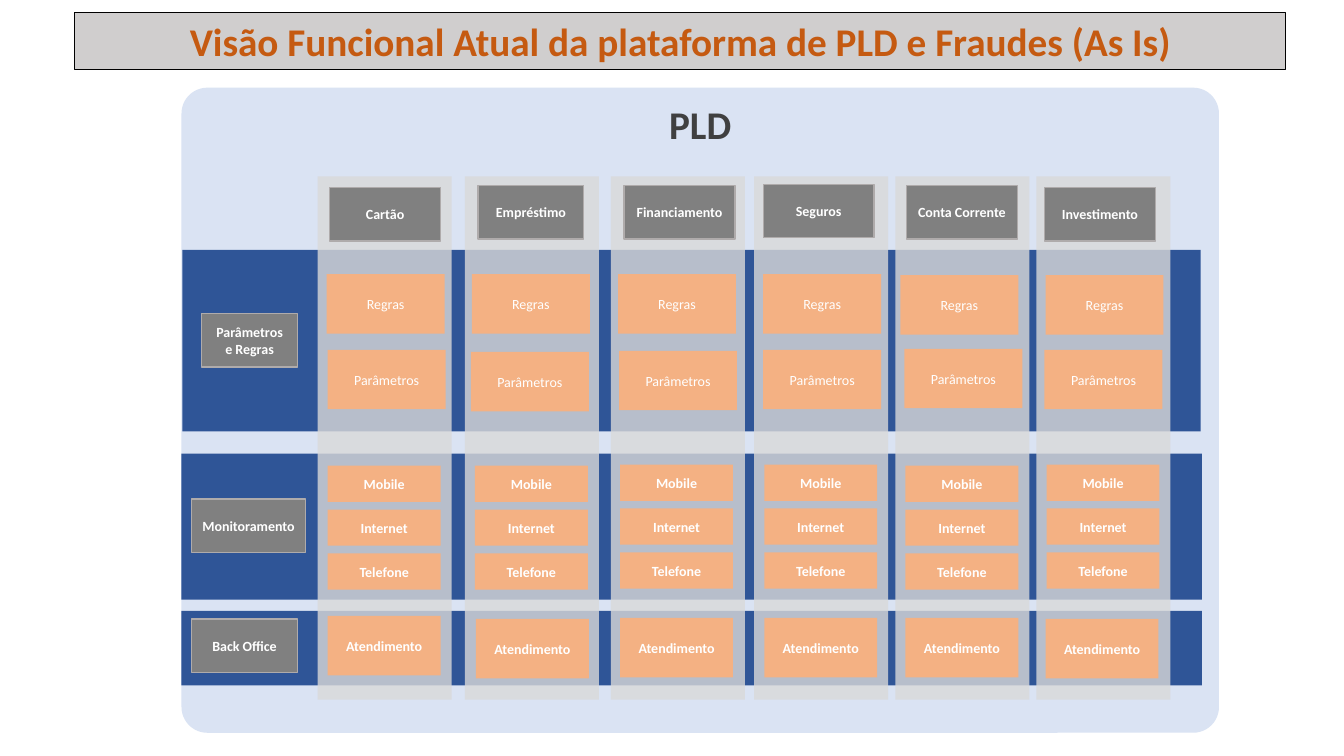
"""Builds the functional view slide: product lanes crossing three process bands."""
from pptx import Presentation
from pptx.dml.color import RGBColor
from pptx.enum.shapes import MSO_SHAPE as SHAPE
from pptx.enum.text import MSO_ANCHOR as ANCHOR, PP_ALIGN as ALIGN
from pptx.oxml.ns import qn
from pptx.util import Inches, Pt
from lxml import etree

COLORS = {
    "banner": "D0CECE", "banner_line": "000000", "title": "C55A11",
    "panel": "DAE3F3", "heading": "404040", "band": "2F5597",
    "lane": "D9D9D9", "step": "F4B183", "label": "808080",
    "label_line": "AFABAB", "white": "FFFFFF",
}

deck = Presentation()
deck.slide_width, deck.slide_height = Inches(13.33), Inches(7.5)
page = deck.slides.add_slide(deck.slide_layouts[5])


def write(box, text, size, color, bold, anchor):
    frame = box.text_frame
    frame.word_wrap = True
    frame.vertical_anchor = anchor
    para = frame.paragraphs[0]
    para.alignment = ALIGN.CENTER
    span = para.add_run()
    span.text = text
    span.font.name = "Calibri"
    span.font.size = Pt(size)
    span.font.bold = bold
    span.font.color.rgb = RGBColor.from_string(COLORS[color])


def add_box(left, top, width, height, fill, line=None, kind=SHAPE.RECTANGLE):
    box = page.shapes.add_shape(
        kind, Inches(left), Inches(top), Inches(width), Inches(height))
    box.shadow.inherit = False
    box.fill.solid()
    box.fill.fore_color.rgb = RGBColor.from_string(COLORS[fill])
    if line:
        box.line.color.rgb = RGBColor.from_string(COLORS[line])
        box.line.width = Pt(1)
    else:
        box.line.fill.background()
    return box


title = page.shapes.title
title.left, title.top = Inches(0.74), Inches(0.12)
title.width, title.height = Inches(12.01), Inches(0.57)
title.fill.solid()
title.fill.fore_color.rgb = RGBColor.from_string(COLORS["banner"])
title.line.color.rgb = RGBColor.from_string(COLORS["banner_line"])
title.line.width = Pt(0.75)
write(title, "Visão Funcional Atual da plataforma de PLD e Fraudes (As Is)",
      28, "title", True, ANCHOR.MIDDLE)

panel = add_box(1.8, 0.87, 10.29, 6.4, "panel", kind=SHAPE.ROUNDED_RECTANGLE)
panel.adjustments[0] = 0.04
write(panel, "PLD", 28, "heading", True, ANCHOR.TOP)

for left, top, width, height in [
    (1.81, 2.48, 10.1, 1.8), (1.8, 4.5, 10.12, 1.45), (1.8, 6.06, 10.12, 0.74),
]:
    add_box(left, top, width, height, "band")

for left in [3.15, 4.61, 6.06, 7.48, 8.88, 10.28]:
    lane = add_box(left, 1.75, 1.33, 5.19, "lane")
    lane_color = lane.fill._xPr.find(qn("a:solidFill"))[0]
    etree.SubElement(lane_color, qn("a:alpha"), val="80000")

channel_lefts = [3.25, 4.71, 6.15, 7.58, 8.98, 10.38]
channel_tops = [4.62, 4.62, 4.61, 4.61, 4.62, 4.61]
channel_rows = [
    (name, 1.12, 0.36, True, channel_lefts,
     [top + 0.435 * row for top in channel_tops])
    for row, name in enumerate(["Mobile", "Internet", "Telefone"])
]
step_rows = [
    ("Regras", 1.17, 0.59, False,
     [3.24, 4.68, 6.13, 7.57, 8.93, 10.37],
     [2.72, 2.72, 2.72, 2.72, 2.73, 2.73]),
    ("Parâmetros", 1.17, 0.59, False,
     [3.25, 4.67, 6.14, 7.57, 8.97, 10.36],
     [3.47, 3.49, 3.48, 3.47, 3.46, 3.47]),
    *channel_rows,
    ("Atendimento", 1.12, 0.59, True,
     [3.25, 4.72, 6.15, 7.58, 8.98, 10.37],
     [6.11, 6.14, 6.13, 6.13, 6.13, 6.14]),
]
for name, width, height, bold, lefts, tops in step_rows:
    for left, top in zip(lefts, tops):
        step = add_box(left, top, width, height, "step")
        write(step, name, 10, "white", bold, ANCHOR.MIDDLE)

for name, left, top, width in [
    ("Parâmetros e Regras", 2, 3.11, 0.95),
    ("Monitoramento", 1.9, 4.95, 1.13),
    ("Back Office", 1.9, 6.14, 1.05),
    ("Cartão", 3.27, 1.86, 1.1),
    ("Empréstimo", 4.74, 1.84, 1.05),
    ("Financiamento", 6.19, 1.84, 1.1),
    ("Seguros", 7.57, 1.83, 1.1),
    ("Conta Corrente", 8.99, 1.84, 1.1),
    ("Investimento", 10.36, 1.86, 1.1),
]:
    label = add_box(left, top, width, 0.53, "label", "label_line")
    write(label, name, 10, "white", True, ANCHOR.MIDDLE)

deck.save("out.pptx")
